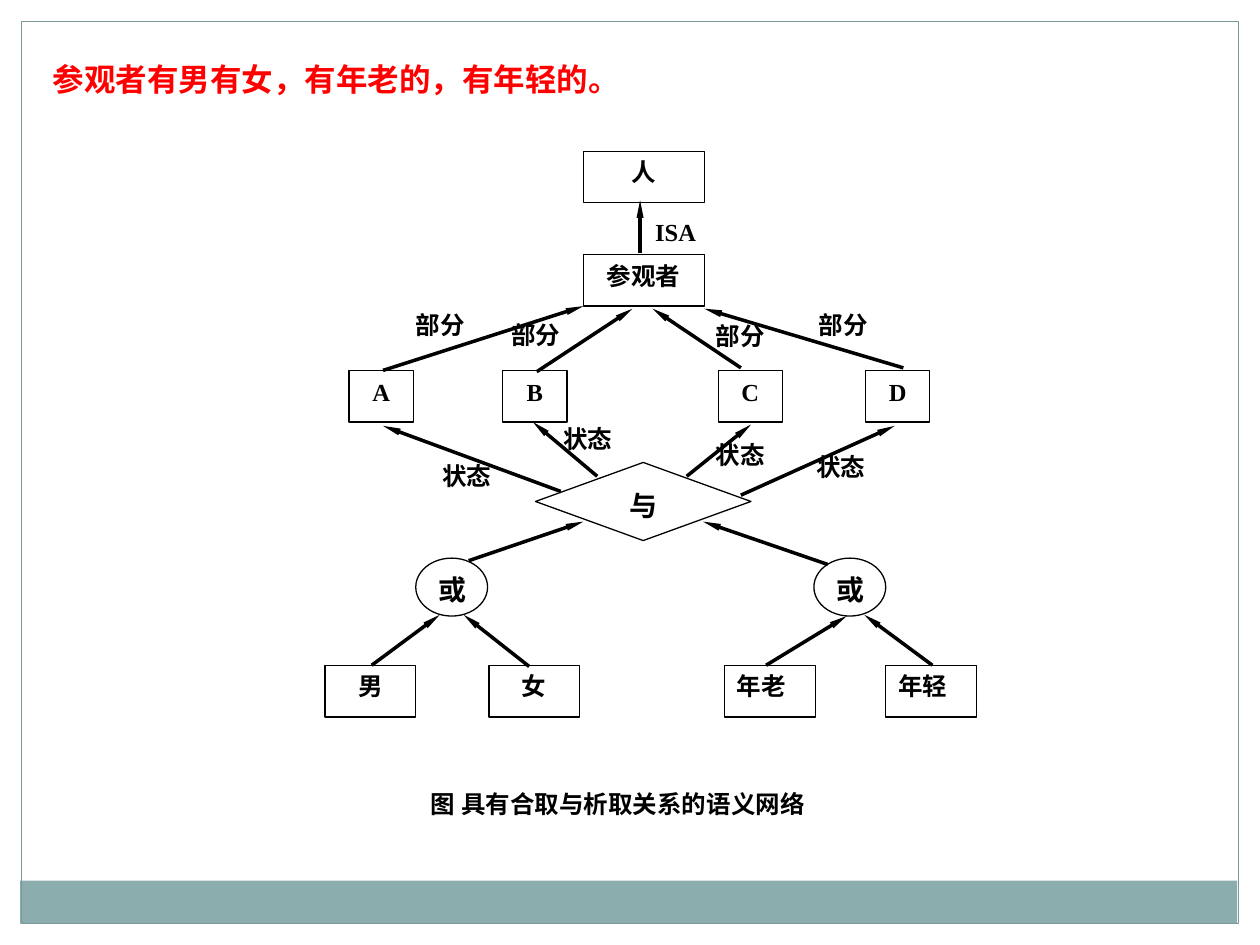
"""Build a slide with a semantic network of conjunction and disjunction."""
from lxml.etree import SubElement
from pptx import Presentation
from pptx.dml.color import RGBColor
from pptx.enum.shapes import MSO_CONNECTOR as Conn, MSO_SHAPE as Kind
from pptx.enum.text import MSO_ANCHOR as Anchor, MSO_AUTO_SIZE as Fit, PP_ALIGN as Align
from pptx.oxml.ns import qn
from pptx.util import Inches, Pt


def rgb(code):
    return RGBColor.from_string(code)


def write(shape, text, size=14, color="000000", face="Times New Roman", align=Align.CENTER, wrap=True):
    frame = shape.text_frame
    frame.word_wrap = wrap
    frame.vertical_anchor = Anchor.TOP
    para = frame.paragraphs[0]
    para.alignment = align
    run = para.add_run()
    run.text = text
    font = run.font
    font.size, font.bold, font.name = Pt(size), True, face
    font.color.rgb = rgb(color)
    SubElement(font._element, qn("a:ea"), typeface="Noto Sans CJK SC")


deck = Presentation()
deck.slide_width, deck.slide_height = Inches(10), Inches(7.5)
slide = deck.slides.add_slide(deck.slide_layouts[5])
shapes = slide.shapes

title = shapes.title
title.left, title.top = Inches(0.32), Inches(0.43)
title.width, title.height = Inches(4.91), Inches(0.4)
write(title, "参观者有男有女，有年老的，有年轻的。", size=18, color="FF0000",
      face="Noto Sans CJK SC", align=Align.LEFT, wrap=False)
title.text_frame.auto_size = Fit.SHAPE_TO_FIT_TEXT

band = shapes.add_shape(Kind.RECTANGLE, Inches(0.16), Inches(6.99), Inches(9.66), Inches(0.34))
band.shadow.inherit = False
band.fill.solid()
band.fill.fore_color.rgb = rgb("8CADAE")
band.line.fill.background()

border = shapes.add_shape(Kind.RECTANGLE, Inches(0.17), Inches(0.17), Inches(9.66), Inches(7.16))
border.shadow.inherit = False
border.fill.background()
border.line.color.rgb = rgb("7C999A")
border.line.width = Pt(0.75)

box, mid, left = Kind.RECTANGLE, Align.CENTER, Align.LEFT
nodes = [
    ("人", box, 4.63, 1.2, 0.96, 0.41, 14, mid),
    ("参观者", box, 4.63, 2.02, 0.96, 0.41, 14, mid),
    ("与", Kind.FLOWCHART_DECISION, 4.25, 3.67, 1.71, 0.62, 16, mid),
]
nodes += [(name, box, x, 2.94, 0.51, 0.41, 14, mid)
          for name, x in zip("ABCD", (2.77, 3.99, 5.7, 6.87))]
nodes += [("或", Kind.OVAL, x, 4.43, 0.57, 0.46, 16, left) for x in (3.3, 6.46)]
nodes += [(name, box, x, 5.28, 0.72, 0.41, 14, align) for name, x, align in (
    ("男", 2.58, mid), ("女", 3.88, mid), ("年老", 5.75, left), ("年轻", 7.03, left))]
for name, kind, x, y, w, h, size, align in nodes:
    node = shapes.add_shape(kind, Inches(x), Inches(y), Inches(w), Inches(h))
    node.shadow.inherit = False
    node.fill.solid()
    node.fill.fore_color.rgb = rgb("FFFFFF")
    node.line.color.rgb = rgb("000000")
    node.line.width = Pt(0)
    write(node, name, size=size, align=align)

arrows = [
    (5.08, 2.01, 5.08, 1.59),
    (3.04, 2.94, 4.63, 2.43), (4.26, 2.95, 5.02, 2.45),
    (5.88, 2.92, 5.18, 2.45), (7.17, 2.92, 5.59, 2.45),
    (4.45, 3.9, 3.04, 3.38), (4.74, 3.78, 4.23, 3.35),
    (5.45, 3.78, 5.96, 3.37), (5.88, 3.93, 7.1, 3.38),
    (3.72, 4.45, 4.63, 4.14), (6.57, 4.48, 5.58, 4.14),
    (2.95, 5.28, 3.49, 4.88), (4.2, 5.29, 3.68, 4.88),
    (6.08, 5.28, 6.72, 4.89), (7.4, 5.28, 6.86, 4.88),
]
for ends in arrows:
    arrow = shapes.add_connector(Conn.STRAIGHT, *map(Inches, ends))
    arrow.line.color.rgb = rgb("000000")
    arrow.line.width = Pt(0)
    SubElement(arrow.line._get_or_add_ln(), qn("a:tailEnd"), type="triangle", w="sm", len="lg")
    SubElement(arrow._element.spPr, qn("a:effectLst"))

labels = [("部分", x, y) for x, y in ((3.2, 2.41), (3.96, 2.49), (5.58, 2.5), (6.4, 2.41))]
labels += [("状态", x, y) for x, y in ((3.41, 3.61), (4.37, 3.32), (5.58, 3.44), (6.38, 3.54))]
for text, x, y in labels:
    label = shapes.add_textbox(Inches(x), Inches(y), Inches(0.72), Inches(0.36))
    write(label, text, align=left)

link = shapes.add_textbox(Inches(5.2), Inches(1.72), Inches(0.35), Inches(0.22))
write(link, "ISA", align=left)
frame = link.text_frame
frame.margin_left = frame.margin_right = frame.margin_top = frame.margin_bottom = 0

note = shapes.add_textbox(Inches(2.58), Inches(6.21), Inches(4.65), Inches(0.42))
write(note, "图 具有合取与析取关系的语义网络", face="Noto Sans CJK SC")

deck.save("out.pptx")
